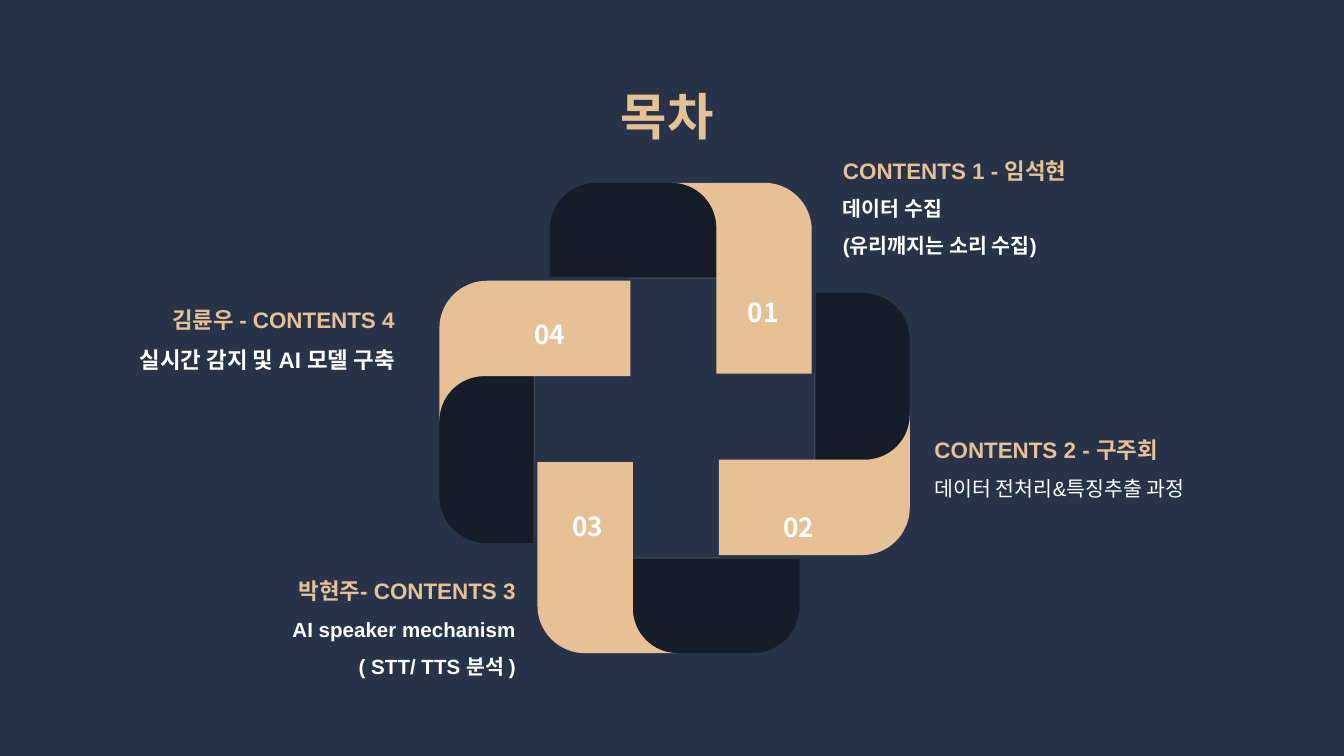
from dataclasses import dataclass
from math import cos, pi, sin

from pptx import Presentation
from pptx.dml.color import RGBColor
from pptx.enum.shapes import MSO_SHAPE as Shape
from pptx.enum.text import MSO_ANCHOR as Anchor, MSO_AUTO_SIZE as AutoSize, PP_ALIGN as Align
from pptx.util import Pt


@dataclass(frozen=True)
class Theme:
    navy: RGBColor = RGBColor(0x28, 0x33, 0x49)
    dark: RGBColor = RGBColor(0x16, 0x1C, 0x28)
    gold: RGBColor = RGBColor(0xE6, 0xC1, 0x95)
    white: RGBColor = RGBColor(0xFF, 0xFF, 0xFF)
    font: str = "Arial"
    number_font: str = "Noto Sans CJK KR"
    title: int = 27
    number: int = 14
    heading: int = 12
    body: int = 11


THEME = Theme()
CENTER = (361.4, 223.9)

# Edges of the upper arm, measured from the centre of the knot
INNER, OUTER = 22.4, 73.5
TOP, FOLD, BOTTOM = -126, -74.9, -23.7
SEAM_LEFT = -24.4
CORNER, FOLD_RADIUS = 25.5, 24

# number, left, top, width, height, line spacing
NUMBERS = [
    ("01", 383.8, 156.2, 50.4, 36.7, 1),
    ("02", 403.9, 262.8, 48.2, 44.6, 1.5),
    ("03", 290.9, 270.7, 48.2, 36.7, 1),
    ("04", 263.5, 167.8, 61.9, 36.7, 1),
]

# left, top, width, alignment, heading, body lines, body size, body bold
ENTRIES = [
    (446.4, 74.2, 149.8, Align.LEFT, "CONTENTS 1 - 임석현",
     ["데이터 수집", "(유리깨지는 소리 수집)"], THEME.body, True),
    (495.4, 223.9, 149.8, Align.LEFT, "CONTENTS 2 - 구주회",
     ["데이터 전처리&특징추출 과정"], THEME.body, False),
    (119.5, 299.5, 162, Align.RIGHT, "박현주- CONTENTS 3",
     ["AI speaker mechanism", "( STT/ TTS 분석 )"], THEME.body, True),
    (54.7, 154.1, 162, Align.RIGHT, "김륜우 - CONTENTS 4",
     ["실시간 감지 및 AI 모델 구축"], THEME.heading, True),
]


def setup_frame(shape):
    tf = shape.text_frame
    tf.word_wrap = True
    tf.auto_size = AutoSize.NONE
    tf.vertical_anchor = Anchor.TOP
    tf.margin_left = tf.margin_right = Pt(5.2)
    tf.margin_top = tf.margin_bottom = Pt(2.7)
    return tf


def write(p, text, size, color, align, spacing=1.5, bold=True, font=THEME.font):
    p.text = text
    p.alignment = align
    p.line_spacing = spacing
    p.space_before = Pt(0)
    p.font.name, p.font.size, p.font.bold = font, Pt(size), bold
    p.font.color.rgb = color


def add_text_frame(s, left, top, width, height):
    return setup_frame(s.shapes.add_textbox(Pt(left), Pt(top), Pt(width), Pt(height)))


def add_title(s, text):
    title = s.shapes.title
    title.left, title.top, title.width, title.height = Pt(224), Pt(26.6), Pt(267), Pt(36.7)
    write(setup_frame(title).paragraphs[0], text, THEME.title, THEME.gold, Align.CENTER)


def add_number(s, text, left, top, width, height, spacing):
    tf = add_text_frame(s, left, top, width, height)
    write(tf.paragraphs[0], text, THEME.number, THEME.white, Align.CENTER, spacing,
          font=THEME.number_font)


def add_entry(s, left, top, width, align, heading, lines, size, bold):
    tf = add_text_frame(s, left, top, width, 73.4)
    write(tf.paragraphs[0], heading, THEME.heading, THEME.gold, align)
    for line in lines:
        write(tf.add_paragraph(), line, size, THEME.white, align, bold=bold)


def style(shape, color):
    shape.shadow.inherit = False
    shape.fill.solid()
    shape.fill.fore_color.rgb = color
    shape.line.fill.background()


def place(shape, x, y, turns, rotation):
    """Centre a shape at (x, y) from the knot's centre, after quarter turns clockwise."""
    for _ in range(turns):
        x, y = -y, x
    shape.left = Pt(CENTER[0] + x) - shape.width // 2
    shape.top = Pt(CENTER[1] + y) - shape.height // 2
    shape.rotation = rotation % 360


def corner_arc(right, top, radius, steps=16):
    """Points of a rounded top-right corner, clockwise."""
    angles = [pi / 2 * i / steps for i in range(steps + 1)]
    return [(right - radius + radius * sin(a), top + radius - radius * cos(a)) for a in angles]


def add_dark_arm(s, turns):
    arm = s.shapes.add_shape(Shape.ROUND_1_RECTANGLE, 0, 0, Pt(50.4), Pt(89.3))
    arm.adjustments[0] = 0.5
    style(arm, THEME.dark)
    place(arm, -22.3, -100.8, turns, 270 + 90 * turns)


def add_gold_arm(s, turns):
    """Arm with a rounded end, a curved fold and a hairline seam."""
    points = [
        *corner_arc(OUTER, TOP, CORNER),
        (OUTER, BOTTOM), (INNER, BOTTOM),
        (INNER, FOLD), (SEAM_LEFT, FOLD), (INNER, FOLD),
        *reversed(corner_arc(INNER, TOP, FOLD_RADIUS)),
    ]
    (x, y), *rest = [(Pt(px), Pt(py)) for px, py in points]
    outline = s.shapes.build_freeform(x, y)
    outline.add_line_segments(rest)
    arm = outline.convert_to_shape(Pt(CENTER[0]), Pt(CENTER[1]))
    style(arm, THEME.gold)
    place(arm, (SEAM_LEFT + OUTER) / 2, (TOP + BOTTOM) / 2, turns, 90 * turns)


def main():
    prs = Presentation()
    prs.slide_width, prs.slide_height = Pt(720), Pt(405)
    s = prs.slides.add_slide(prs.slide_layouts[5])
    s.background.fill.solid()
    s.background.fill.fore_color.rgb = THEME.navy

    add_title(s, "목차")
    for turns in (1, 0, 3, 2):
        add_dark_arm(s, turns)
        add_gold_arm(s, turns)
    for number in NUMBERS:
        add_number(s, *number)
    for entry in ENTRIES:
        add_entry(s, *entry)
    prs.save("out.pptx")


if __name__ == "__main__":
    main()
